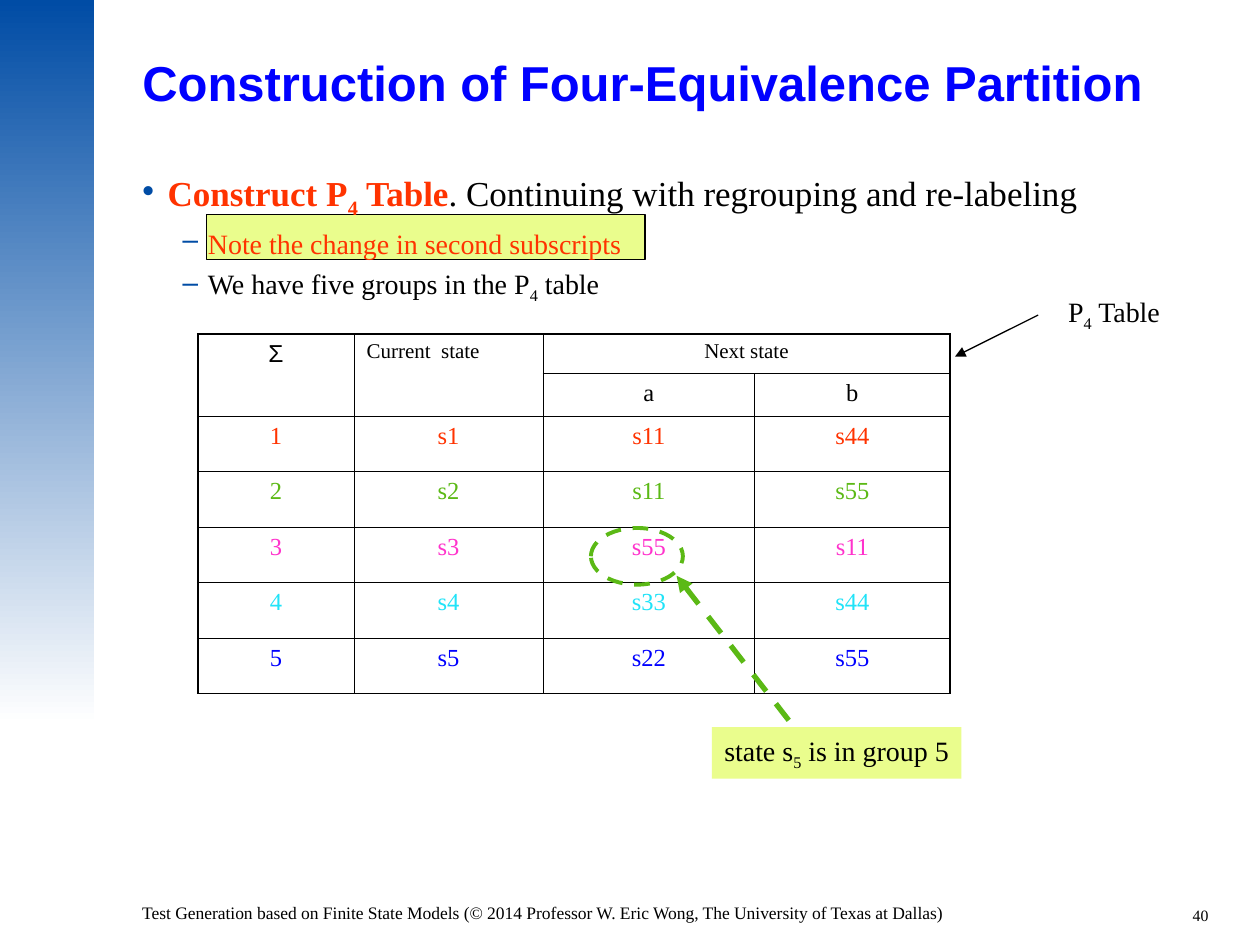
from dataclasses import dataclass
from typing import Any, Optional

import pptx
import pptx.dml.color
import pptx.enum.dml
import pptx.enum.shapes
import pptx.enum.text
import pptx.oxml
import pptx.oxml.ns
import pptx.util

RGB = pptx.dml.color.RGBColor
Align = pptx.enum.text.PP_ALIGN
Kind = pptx.enum.shapes.MSO_SHAPE
DASH = pptx.enum.dml.MSO_LINE.DASH
Pt = pptx.util.Pt

BLACK = RGB(0, 0, 0)
WHITE = RGB(255, 255, 255)
NAVY = RGB(0x00, 0x4C, 0xA5)
BLUE = RGB(0, 0, 255)
RED = RGB(0xFF, 0x33, 0x00)
GREEN = RGB(0x5B, 0xB9, 0x15)
PINK = RGB(0xFF, 0x33, 0xCC)
CYAN = RGB(0x20, 0xE3, 0xF8)
LIME = RGB(0xEA, 0xFD, 0x8D)

SERIF, SANS = "Times New Roman", "Arial"
COLS, ROWS = 100, 75  # the slide as a grid of squares
THIN, THICK = 0.45, 1.08  # table rules in points


def grid(n: float) -> int:
    """Length of n grid squares."""
    return pptx.util.Inches(n * 10 / COLS)


@dataclass
class Box:
    left: float
    top: float
    wide: float
    high: float

    def place(self) -> tuple[int, ...]:
        return tuple(map(grid, (self.left, self.top, self.wide, self.high)))


@dataclass
class Span:
    text: str
    size: float
    color: RGB = BLACK
    bold: bool = False
    sub: bool = False
    font: str = SERIF


@dataclass
class Point:
    spans: list[Span]
    mark: str
    indent: float
    gap: float


def node(tag: str, inner: str = "", **attrs: Any) -> Any:
    pairs = "".join(f' {key}="{val}"' for key, val in attrs.items())
    return pptx.oxml.parse_xml(
        f'<a:{tag} {pptx.oxml.ns.nsdecls("a")}{pairs}>{inner}</a:{tag}>')


def solid(color: RGB) -> str:
    return f'<a:solidFill><a:srgbClr val="{color}"/></a:solidFill>'


def write(para: Any, spans: list[Span], align: Any = Align.LEFT) -> None:
    para.alignment = align
    for span in spans:
        run = para.add_run()
        run.text = span.text
        font = run.font
        font.name, font.size, font.bold = span.font, Pt(span.size), span.bold
        font.color.rgb = span.color
        if span.sub:
            run._r.get_or_add_rPr().set("baseline", "-25000")


def inset(frame: Any, side: float, top: float) -> None:
    frame.margin_left = frame.margin_right = grid(side)
    frame.margin_top = frame.margin_bottom = grid(top)


def label(shapes: Any, box: Box, spans: list[Span], align: Any = Align.LEFT,
          wrap: bool = True, fill: Optional[RGB] = None) -> Any:
    text = shapes.add_textbox(*box.place())
    frame = text.text_frame
    frame.word_wrap = wrap
    inset(frame, 1, 0.5)
    if fill is not None:
        text.fill.solid()
        text.fill.fore_color.rgb = fill
    write(frame.paragraphs[0], spans, align)
    return text


def points(shapes: Any, box: Box, items: list[Point]) -> None:
    frame = shapes.add_textbox(*box.place()).text_frame
    frame.word_wrap = True
    inset(frame, 0, 0)
    for i, item in enumerate(items):
        para = frame.add_paragraph() if i else frame.paragraphs[0]
        props = para._p.get_or_add_pPr()
        props.set("marL", str(grid(item.indent)))
        props.set("indent", str(-grid(2)))
        props.append(node("buClr", f'<a:srgbClr val="{NAVY}"/>'))
        props.append(node("buChar", char=item.mark))
        if i:
            para.space_before = Pt(item.gap)
        write(para, item.spans)


def shape(shapes: Any, kind: Any, box: Box) -> Any:
    new = shapes.add_shape(kind, *box.place())
    new.shadow.inherit = False
    return new


def arrow(shapes: Any, tip: tuple[float, float], tail: tuple[float, float],
          color: RGB, width: float, dash: Any = None) -> None:
    line = shapes.add_connector(pptx.enum.shapes.MSO_CONNECTOR.STRAIGHT,
                                *map(grid, tip + tail))
    line.line.color.rgb = color
    line.line.width = Pt(width)
    if dash:
        line.line.dash_style = dash
    line.line._get_or_add_ln().append(node("headEnd", type="triangle"))
    line._element.spPr.append(node("effectLst"))


def edges(cell: Any, sides: dict[str, bool]) -> None:
    props = cell._tc.get_or_add_tcPr()
    for side, outer in sides.items():
        width = Pt(THICK if outer else THIN)
        props.append(node("ln" + side, solid(BLACK), w=int(width)))


def table(shapes: Any, box: Box, wides: list[float], highs: list[float],
          cells: dict[tuple[int, int], Span]) -> None:
    rows, cols = len(highs), len(wides)
    grid_tab = shapes.add_table(rows, cols, *box.place()).table
    grid_tab.first_row = grid_tab.horz_banding = False
    for col, wide in zip(grid_tab.columns, wides):
        col.width = grid(wide)
    for row, high in zip(grid_tab.rows, highs):
        row.height = grid(high)
    for first, last in (((0, 0), (1, 0)), ((0, 1), (1, 1)), ((0, 2), (0, 3))):
        grid_tab.cell(*first).merge(grid_tab.cell(*last))
    for r in range(rows):
        for c in range(cols):
            cell = grid_tab.cell(r, c)
            wide = cell.span_width if cell.is_merge_origin else 1
            edges(cell, {"L": c == 0, "R": c + wide == cols,
                         "T": r == 0, "B": r == rows - 1})
            cell.fill.background()
            inset(cell, 1, 0.5)
            if (r, c) in cells:
                align = Align.LEFT if (r, c) == (0, 1) else Align.CENTER
                write(cell.text_frame.paragraphs[0], [cells[r, c]], align)


def main() -> None:
    deck = pptx.Presentation()
    deck.slide_width, deck.slide_height = grid(COLS), grid(ROWS)
    shapes = deck.slides.add_slide(deck.slide_layouts[6]).shapes

    # Side band and slide number
    band = shape(shapes, Kind.RECTANGLE, Box(0, 0, 7.5, 57.5))
    band.line.fill.background()
    band.fill.gradient()
    band.fill.gradient_angle = 270
    for stop, color in zip(band.fill.gradient_stops, (NAVY, WHITE)):
        stop.color.rgb = color
    label(shapes, Box(77.6, 71.4, 19.3, 2.1), [Span("40", 9)], Align.RIGHT)

    # Highlight behind the note
    note = shape(shapes, Kind.RECTANGLE, Box(16.4, 17, 34.8, 3.6))
    note.fill.solid()
    note.fill.fore_color.rgb = LIME
    note.line.color.rgb = BLACK
    note.line.width = Pt(0.75)

    # Title and bullets
    title = label(shapes, Box(11.3, 4.4, 88.7, 4.8),
                  [Span("Construction of Four-Equivalence Partition", 28, BLUE, True, font=SANS)])
    inset(title.text_frame, 0, 0)
    title.text_frame.vertical_anchor = pptx.enum.text.MSO_ANCHOR.MIDDLE
    title.text_frame.paragraphs[0].line_spacing = 0.9
    points(shapes, Box(11.3, 13.6, 85.1, 55.6), [
        Point([Span("Construct P", 20, RED, True), Span("4", 20, RED, True, True),
               Span(" Table", 20, RED, True),
               Span(". Continuing with regrouping and re-labeling", 20)], "•", 2, 5),
        Point([Span("Note the change in second subscripts", 16, RED)], "–", 5.2, 4),
        Point([Span("We have five groups in the P", 16), Span("4", 16, sub=True),
               Span(" table", 16)], "–", 5.2, 4)])

    # Table name with its arrow
    arrow(shapes, (75.8, 28.3), (82.4, 25), BLACK, 0.75)
    label(shapes, Box(83.8, 22.9, 9.4, 4.1),
          [Span("P", 16), Span("4", 16, sub=True), Span(" Table", 16)], wrap=False)

    # State table
    cells = {(0, 0): Span("Σ", 14, font=SANS), (0, 1): Span("Current  state", 12),
             (0, 2): Span("Next state", 12), (1, 2): Span("a", 14), (1, 3): Span("b", 14)}
    states = [(RED, "s11", "s44"), (GREEN, "s11", "s55"), (PINK, "s55", "s11"),
              (CYAN, "s33", "s44"), (BLUE, "s22", "s55")]
    for n, (color, *nexts) in enumerate(states, 1):
        for c, text in enumerate([str(n), f"s{n}", *nexts]):
            cells[n + 1, c] = Span(text, 14, color)
    table(shapes, Box(15.7, 26.5, 59.7, 28.5), [12.4, 15, 16.8, 15.5],
          [3.15, 3.4] + [4.4] * len(states), cells)

    # Callout for the ringed state
    group = shapes.add_group_shape().shapes
    ring = shape(group, Kind.OVAL, Box(46.9, 41.9, 7.3, 4.5))
    ring.fill.background()
    ring.line.color.rgb = GREEN
    ring.line.width = Pt(2.25)
    ring.line.dash_style = DASH
    arrow(group, (53.7, 45.7), (63.4, 58.2), GREEN, 3, DASH)
    label(group, Box(56.5, 57.7, 19.8, 4.1),
          [Span("state s", 16), Span("5", 16, sub=True), Span(" is in group 5", 16)],
          wrap=False, fill=LIME)

    # Footer
    label(shapes, Box(10.3, 71.1, 78.7, 2.8), [Span(
        "Test Generation based on Finite State Models (© 2014 Professor W. Eric Wong, "
        "The University of Texas at Dallas)", 10)])
    deck.save("out.pptx")


if __name__ == "__main__":
    main()
